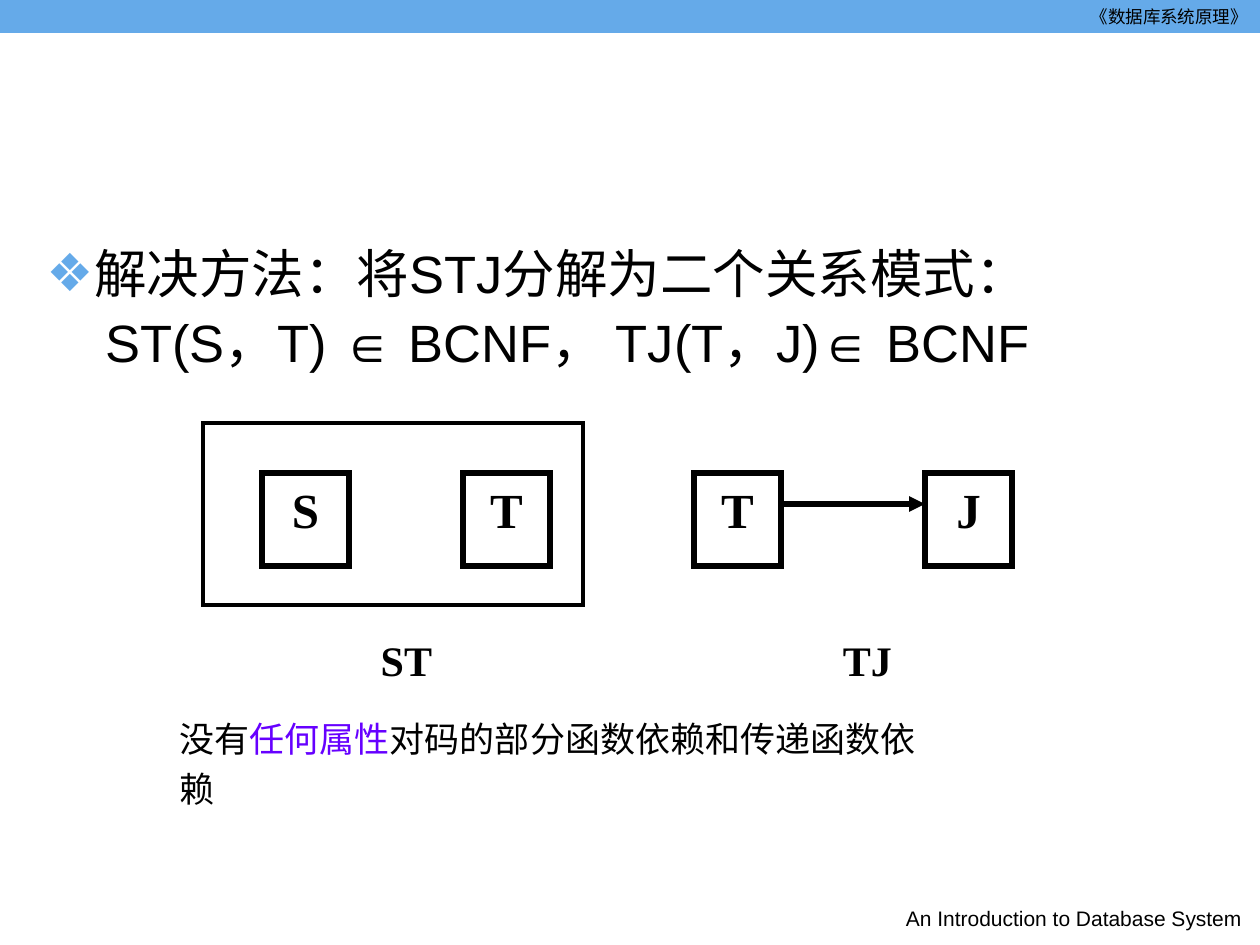
from lxml import etree
from pptx import Presentation
from pptx import util as u
from pptx.dml.color import RGBColor
from pptx.enum import shapes, text
from pptx.oxml import ns

PX = 914400 / 126
BLACK = RGBColor(0x00, 0x00, 0x00)
BLUE = RGBColor(0x65, 0xAA, 0xE9)
VIOLET = RGBColor(0x66, 0x00, 0xFF)
SANS, SERIF = "Arial", "Times New Roman"
LEFT, CENTER, RIGHT = text.PP_ALIGN.LEFT, text.PP_ALIGN.CENTER, text.PP_ALIGN.RIGHT


def px(*lengths):
    return [u.Emu(round(n * PX)) for n in lengths]


def write(p, runs, size, font=SANS, bold=False, align=LEFT):
    """Fill a paragraph with (wording, colour) runs of one style."""
    p.alignment = align
    for wording, color in runs:
        r = p.add_run()
        r.text = wording
        r.font.size = u.Pt(size)
        r.font.name = font
        r.font.bold = bold
        r.font.color.rgb = color


prs = Presentation()
prs.slide_width, prs.slide_height = px(1260, 945)
s = prs.slides.add_slide(prs.slide_layouts[6])

# Header band
band = s.shapes.add_shape(shapes.MSO_SHAPE.RECTANGLE, *px(0, 0, 1260, 33))
band.shadow.inherit = False
band.fill.solid()
band.fill.fore_color.rgb = BLUE
band.line.fill.background()

# Header, footer and diagram captions
for wording, box, size, font, bold, align in [
    ("《数据库系统原理》", (818, 0, 442, 32), 10, SANS, False, RIGHT),
    ("An Introduction to Database System", (888, 899, 372, 44), 12, SANS, False, CENTER),
    ("ST", (349, 628, 115, 93), 24, SERIF, True, CENTER),
    ("TJ", (810, 628, 115, 93), 24, SERIF, True, CENTER),
]:
    tf = s.shapes.add_textbox(*px(*box)).text_frame
    tf.word_wrap = True
    write(tf.paragraphs[0], [(wording, BLACK)], size, font, bold, align)

# Body text: a bulleted line and an indented line
tf = s.shapes.add_textbox(*px(34, 242, 1163, 147)).text_frame
tf.word_wrap = True
heading, formula = tf.paragraphs[0], tf.add_paragraph()
for p, wording, before, margin, indent in [
    (heading, "解决方法：将STJ分解为二个关系模式：", 7.5, 48, -48),
    (formula, "ST(S，T) ∈ BCNF， TJ(T，J)∈ BCNF", 7, 59, 0),
]:
    write(p, [(wording, BLACK)], 30)
    p.line_spacing = 0.9
    p.space_before = u.Pt(before)
    pPr = p._p.get_or_add_pPr()
    for name, length in zip(("marL", "indent"), px(margin, indent)):
        pPr.set(name, str(length))
pPr = heading._p.get_or_add_pPr()
bullet_color = etree.SubElement(pPr, ns.qn("a:buClr"))
etree.SubElement(bullet_color, ns.qn("a:srgbClr"), val=str(BLUE))
etree.SubElement(pPr, ns.qn("a:buFont"), typeface=SANS)
etree.SubElement(pPr, ns.qn("a:buChar"), char="❖")

# Attribute boxes and the frame around S and T
for label, box, weight in [
    ("S", (262, 473, 87, 93), 3),
    ("T", (463, 473, 87, 93), 3),
    ("T", (694, 473, 87, 93), 3),
    ("J", (925, 473, 87, 93), 3),
    ("", (203, 423, 380, 182), 2.25),
]:
    sp = s.shapes.add_shape(shapes.MSO_SHAPE.RECTANGLE, *px(*box))
    sp.shadow.inherit = False
    sp.fill.background()
    sp.line.color.rgb = BLACK
    sp.line.width = u.Pt(weight)
    outline = sp._element.spPr.find(ns.qn("a:ln"))
    etree.SubElement(outline, ns.qn("a:miter"), lim="800000")
    if label:
        sp.text_frame.vertical_anchor = text.MSO_ANCHOR.TOP
        write(sp.text_frame.paragraphs[0], [(label, BLACK)], 28, SERIF, True, CENTER)

# Dependency arrow T -> J
arrow = s.shapes.add_connector(shapes.MSO_CONNECTOR.STRAIGHT, *px(781, 504, 925, 504))
arrow.line.color.rgb = BLACK
arrow.line.width = u.Pt(3)
outline = arrow._element.spPr.find(ns.qn("a:ln"))
etree.SubElement(outline, ns.qn("a:tailEnd"), type="triangle")
etree.SubElement(arrow._element.spPr, ns.qn("a:effectLst"))

# Conclusion
tf = s.shapes.add_textbox(*px(167, 703, 796, 63)).text_frame
tf.word_wrap = False
tf.auto_size = text.MSO_AUTO_SIZE.SHAPE_TO_FIT_TEXT
p = tf.paragraphs[0]
write(p, [("没有", BLACK), ("任何属性", VIOLET), ("对码的部分函数依赖和传递函数依赖", BLACK)], 20)
p.line_spacing = 1.2
p.space_before = u.Pt(5)

prs.save("out.pptx")
